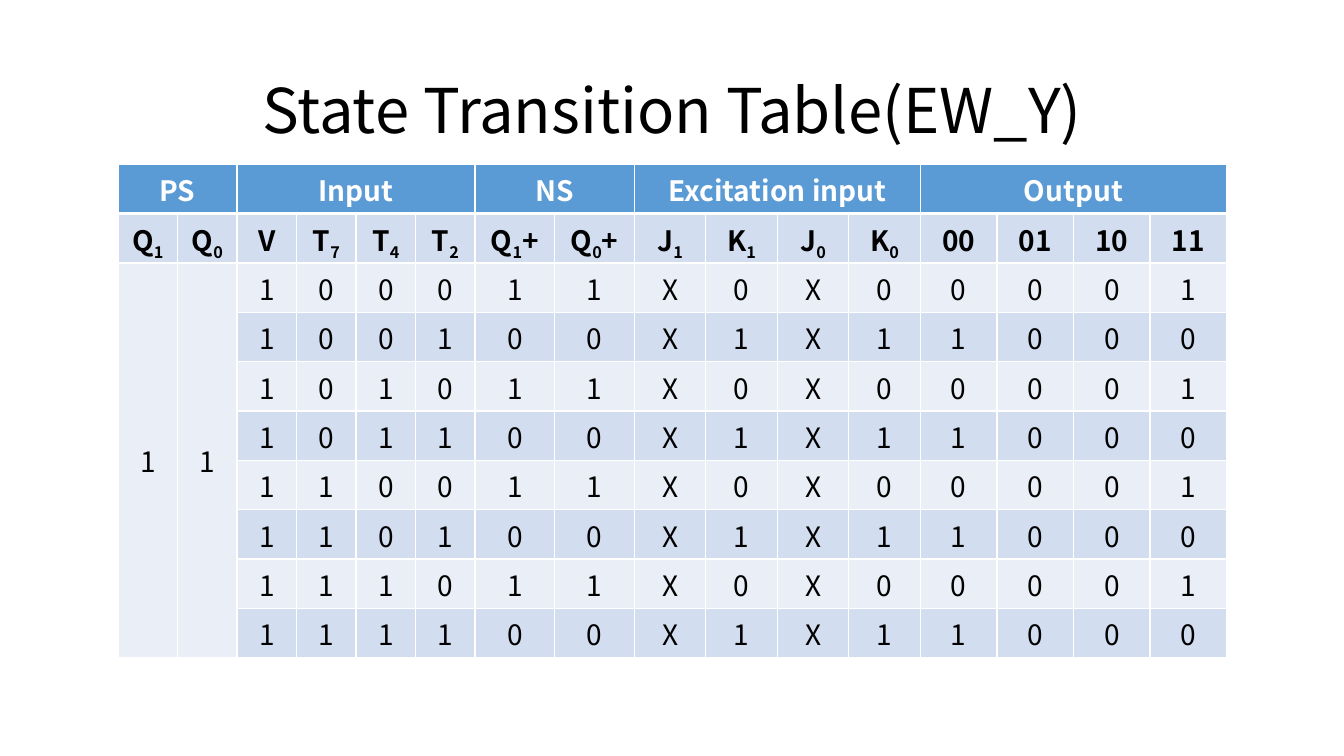
from dataclasses import dataclass
from itertools import product
from lxml.etree import SubElement as Sub
from pptx import Presentation
from pptx.dml.color import RGBColor as Rgb
from pptx.enum.text import MSO_ANCHOR as Anchor, PP_ALIGN as Align
from pptx.oxml.ns import qn
from pptx.util import Inches, Pt

FONT = "Noto Sans CJK KR"
HUES = {
    "head": "5B9BD5",
    "dark": "D2DEEF",
    "light": "EAEFF7",
    "white": "FFFFFF",
    "black": "000000",
}


@dataclass
class Group:
    title: str
    heads: list[str]
    wide: float


@dataclass
class Look:
    fill: str
    ink: str = "black"
    bold: bool = False
    top: int = 1
    base: int = 1


GROUPS = [
    Group("PS", ["Q_1", "Q_0"], 4.43),
    Group("Input", ["V", "T_7", "T_4", "T_2"], 4.43),
    Group("NS", ["Q_1+", "Q_0+"], 5.93),
    Group("Excitation input", ["J_1", "K_1", "J_0", "K_0"], 5.32),
    Group("Output", ["00", "01", "10", "11"], 5.7),
]
TITLE = Look("head", "white", True, base=3)
HEAD = Look("dark", bold=True, top=3)
BANDS = [Look("light"), Look("dark")]
ROW = 6.53

deck = Presentation()
deck.slide_width, deck.slide_height = Inches(13.33), Inches(7.5)
slide = deck.slides.add_slide(deck.slide_layouts[6])


def across(share: float) -> int:
    return round(deck.slide_width * share / 100)


def down(share: float) -> int:
    return round(deck.slide_height * share / 100)


def style(para, size: int, ink: str, bold: bool = False) -> None:
    para.alignment = Align.CENTER
    for run in para.runs:
        font = run.font
        font.name, font.size, font.bold = FONT, Pt(size), bold
        font.color.rgb = Rgb.from_string(HUES[ink])


def paint(cell, look: Look) -> None:
    props = cell._tc.get_or_add_tcPr()
    for side, width in zip("LRTB", (1, 1, look.top, look.base)):
        line = Sub(props, qn(f"a:ln{side}"), w=str(Pt(width)))
        Sub(Sub(line, qn("a:solidFill")), qn("a:srgbClr"), val=HUES["white"])
    cell.fill.solid()
    cell.fill.fore_color.rgb = Rgb.from_string(HUES[look.fill])
    cell.vertical_anchor = Anchor.MIDDLE


def write(cell, text: str, look: Look) -> None:
    para = cell.text_frame.paragraphs[0]
    stem, _, tail = text.partition("_")
    para.text = stem
    if tail:
        sub = para.add_run()
        sub.text = tail[0]
        sub._r.get_or_add_rPr().set("baseline", "-25000")
    if tail[1:]:
        para.add_run().text = tail[1:]
    style(para, 20, look.ink, look.bold)


def add_title(text: str) -> None:
    box = slide.shapes.add_textbox(across(6.9), down(5.33), across(86.25), down(19.33))
    frame = box.text_frame
    frame.word_wrap = True
    frame.vertical_anchor = Anchor.MIDDLE
    frame.text = text
    para = frame.paragraphs[0]
    para.line_spacing = 0.9
    style(para, 44, "black")


def state_row(t7: int, t4: int, t2: int) -> list[str]:
    stay = 1 - t2
    return [str(v) for v in (1, t7, t4, t2, stay, stay, "X", t2, "X", t2, t2, 0, 0, stay)]


def add_states() -> None:
    states = [state_row(*bits) for bits in product((0, 1), repeat=3)]
    heads = [head for group in GROUPS for head in group.heads]
    wides = [group.wide for group in GROUPS for _ in group.heads]
    looks = [TITLE, HEAD] + [BANDS[i % 2] for i in range(len(states))]
    count = len(looks)
    table = slide.shapes.add_table(
        count, len(heads), across(8.78), down(21.73), across(sum(wides)), down(ROW * count)
    ).table
    table.horz_banding = False
    for col, wide in zip(table.columns, wides):
        col.width = across(wide)
    for r, look in enumerate(looks):
        table.rows[r].height = down(ROW)
        for c in range(len(heads)):
            paint(table.cell(r, c), look)

    start = 0
    for group in GROUPS:
        cell = table.cell(0, start)
        start += len(group.heads)
        cell.merge(table.cell(0, start - 1))
        write(cell, group.title, TITLE)
    for c, head in enumerate(heads):
        write(table.cell(1, c), head, HEAD)
    for c in range(2):
        cell = table.cell(2, c)
        cell.merge(table.cell(count - 1, c))
        write(cell, "1", BANDS[0])
    for r, state in enumerate(states, 2):
        for c, text in enumerate(state, 2):
            write(table.cell(r, c), text, looks[r])


def main() -> None:
    add_title("State Transition Table(EW_Y)")
    add_states()
    deck.save("out.pptx")


if __name__ == "__main__":
    main()
